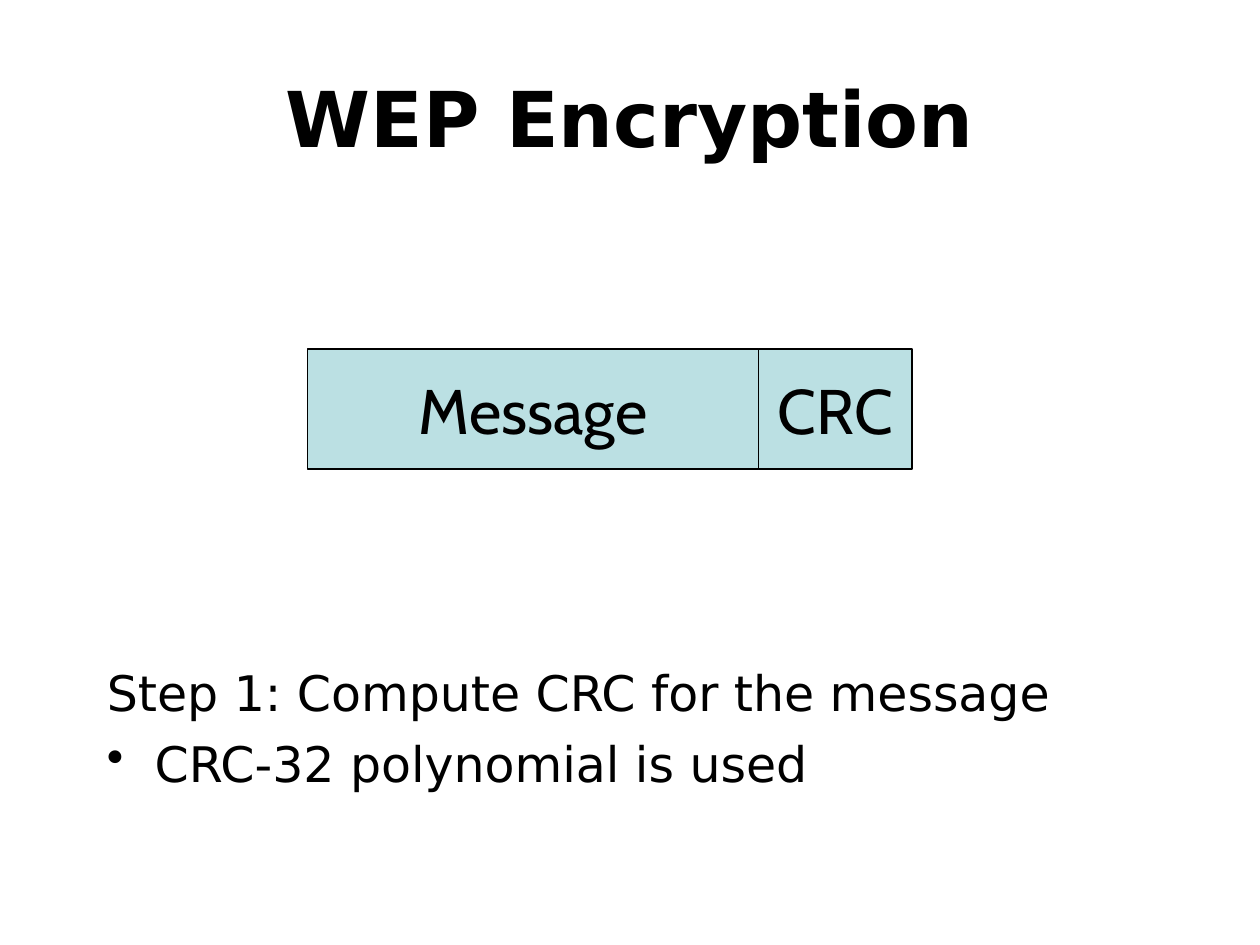
"""Build the WEP encryption slide: a message followed by its CRC."""
import pptx
import pptx.dml.color
import pptx.enum.shapes
import pptx.enum.text
import pptx.oxml.ns
import pptx.util
from lxml import etree

WIDTH, HEIGHT = 10, 7.5
TITLE = "WEP Encryption"
FIELDS = [("Message", 3.58), ("CRC", 1.22)]
STEPS = [("Step 1: Compute CRC for the message", None),
         ("CRC-32 polynomial is used", "•")]
BLACK, PALE_TEAL = "000000", "BBE0E3"
FIELD_LEFT, FIELD_TOP, FIELD_HEIGHT = 2.44, 2.77, 0.95
HANGING = 0.38

ALIGN = pptx.enum.text.PP_ALIGN
ANCHOR = pptx.enum.text.MSO_ANCHOR


def color(value):
    return pptx.dml.color.RGBColor.from_string(value)


def set_bullet(p, bullet):
    pPr = p._p.get_or_add_pPr()
    indent = pptx.util.Inches(HANGING)
    pPr.set("marL", str(indent))
    pPr.set("indent", str(-indent))
    tag = "a:buChar" if bullet else "a:buNone"
    mark = etree.SubElement(pPr, pptx.oxml.ns.qn(tag))
    if bullet:
        mark.set("char", bullet)


def write(p, text, size, font="DejaVu Sans", bold=False, align=ALIGN.LEFT, before=0):
    p.alignment = align
    p.space_before = pptx.util.Pt(before)
    r = p.add_run()
    r.text = text
    r.font.name = font
    r.font.size = pptx.util.Pt(size)
    r.font.bold = bold
    r.font.color.rgb = color(BLACK)


def add_text_box(s, *box):
    tf = s.shapes.add_textbox(*map(pptx.util.Inches, box)).text_frame
    tf.word_wrap = True
    return tf


def add_field(s, text, *box):
    sp = s.shapes.add_shape(pptx.enum.shapes.MSO_SHAPE.RECTANGLE,
                            *map(pptx.util.Inches, box))
    sp.shadow.inherit = False
    sp.fill.solid()
    sp.fill.fore_color.rgb = color(PALE_TEAL)
    sp.line.color.rgb = color(BLACK)
    sp.line.width = pptx.util.Pt(1)
    tf = sp.text_frame
    tf.word_wrap = False
    tf.vertical_anchor = ANCHOR.MIDDLE
    write(tf.paragraphs[0], text, 36, font="Cabin", align=ALIGN.CENTER)


def main():
    prs = pptx.Presentation()
    prs.slide_width = pptx.util.Inches(WIDTH)
    prs.slide_height = pptx.util.Inches(HEIGHT)
    s = prs.slides.add_slide(prs.slide_layouts[6])

    tf = add_text_box(s, 0, 0.3, WIDTH, 1.25)
    tf.vertical_anchor = ANCHOR.MIDDLE
    write(tf.paragraphs[0], TITLE, 44, bold=True, align=ALIGN.CENTER)

    left = FIELD_LEFT
    for text, width in FIELDS:
        add_field(s, text, left, FIELD_TOP, width, FIELD_HEIGHT)
        left += width

    tf = add_text_box(s, 0.75, 5.21, 8.5, 1.46)
    for i, (text, bullet) in enumerate(STEPS):
        p = tf.add_paragraph() if i else tf.paragraphs[0]
        set_bullet(p, bullet)
        write(p, text, 28, before=7 if i else 0)

    prs.save("out.pptx")


if __name__ == "__main__":
    main()
